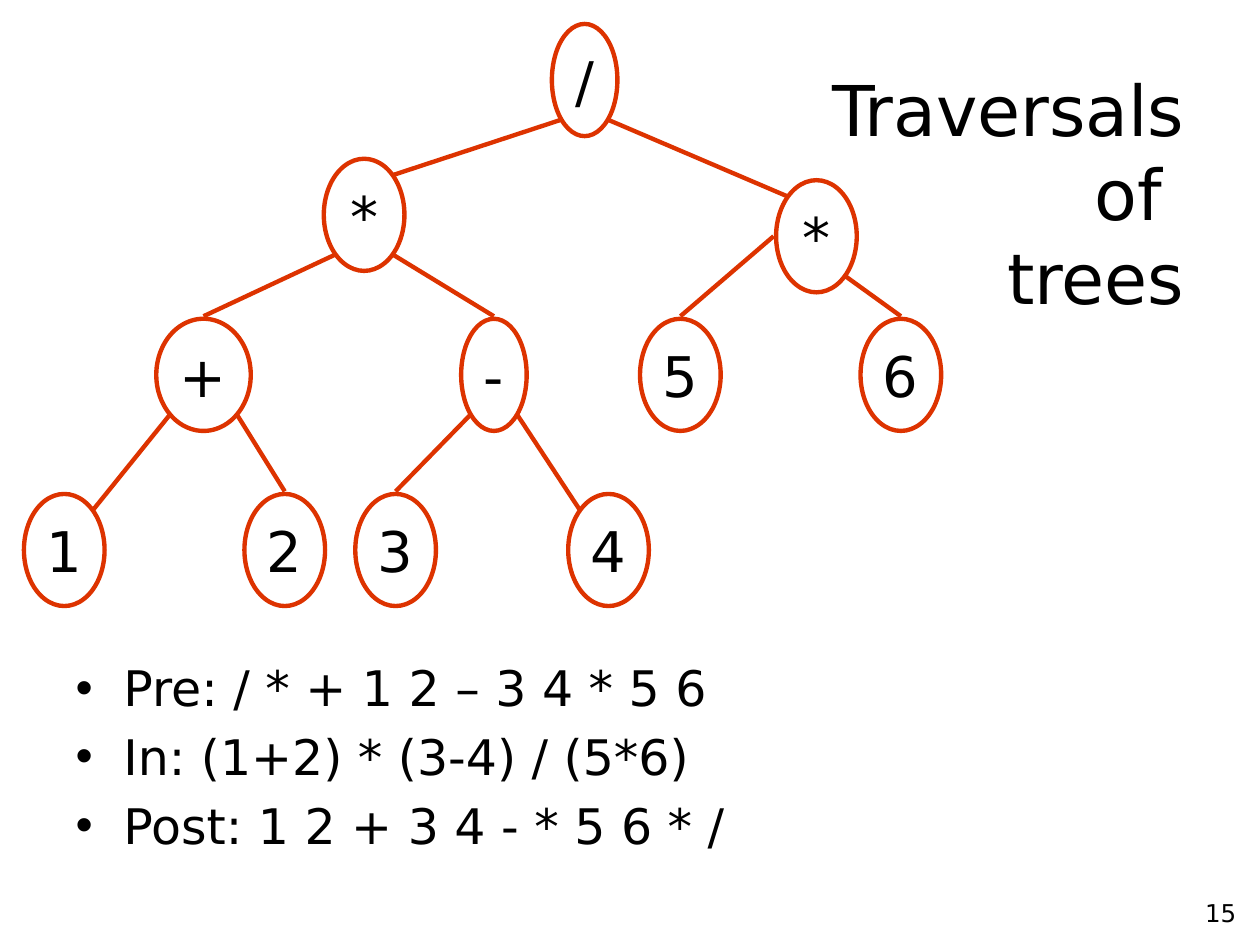
from pptx import Presentation
from pptx.dml.color import RGBColor
from pptx.enum.shapes import MSO_CONNECTOR as CXN, MSO_SHAPE as SHAPE
from pptx.enum.text import MSO_ANCHOR as ANCHOR, MSO_AUTO_SIZE as FIT, PP_ALIGN as ALIGN
from pptx.oxml.ns import qn
from pptx.util import Inches, Pt

RED = RGBColor(0xDD, 0x33, 0x00)
BLACK = RGBColor(0, 0, 0)
FONT = "DejaVu Sans"
NODE_H, LINE_W, GAP = 0.89, 2.5, 0.02

TITLE = "Traversals\vof \vtrees"
ORDERS = [
    "Pre: / * + 1 2 – 3 4 * 5 6",
    "In: (1+2) * (3-4) / (5*6)",
    "Post: 1 2 + 3 4 - * 5 6 * /",
]
NODES = {
    "root": ("/", 4.38, 0.19, 0.52),
    "left": ("*", 2.57, 1.26, 0.64),
    "right": ("*", 6.16, 1.43, 0.64),
    "plus": ("+", 1.24, 2.53, 0.75),
    "minus": ("-", 3.66, 2.53, 0.52),
    "five": ("5", 5.08, 2.53, 0.64),
    "six": ("6", 6.83, 2.53, 0.64),
    "one": ("1", 0.19, 3.92, 0.64),
    "two": ("2", 1.94, 3.92, 0.64),
    "three": ("3", 2.82, 3.92, 0.64),
    "four": ("4", 4.51, 3.92, 0.64),
}
EDGES = [
    ("root", "SW", "left", "NE"), ("root", "SE", "right", "NW"),
    ("left", "SW", "plus", "N"), ("left", "SE", "minus", "N"),
    ("right", "W", "five", "N"), ("right", "SE", "six", "N"),
    ("plus", "SW", "one", "NE"), ("plus", "SE", "two", "N"),
    ("minus", "SW", "three", "N"), ("minus", "SE", "four", "NW"),
]
DIAG = 0.5 ** 0.5
SITES = {"N": (0, -1), "W": (-1, 0), "NE": (DIAG, -DIAG), "NW": (-DIAG, -DIAG),
         "SE": (DIAG, DIAG), "SW": (-DIAG, DIAG)}


def place(sp, *box):
    for name, value in zip(("left", "top", "width", "height"), box):
        setattr(sp, name, Inches(value))


def write(tf, lines, size, align, **frame):
    for name, value in frame.items():
        setattr(tf, name, value)
    for i, line in enumerate(lines):
        p = tf.add_paragraph() if i else tf.paragraphs[0]
        p.text, p.alignment = line, align
        for r in p.runs:
            for name, value in {"name": FONT, "size": Pt(size)}.items():
                setattr(r.font, name, value)
            r.font.color.rgb = BLACK


def outline(sp):
    sp.line.color.rgb, sp.line.width = RED, Pt(LINE_W)


def site(node, side):
    _, x, y, w = NODES[node]
    dx, dy = SITES[side]
    gap = GAP if len(side) == 1 else 0
    return (Inches(x + w / 2 + dx * (w / 2 + gap)),
            Inches(y + NODE_H / 2 + dy * (NODE_H / 2 + gap)))


prs = Presentation()
prs.slide_width, prs.slide_height = Inches(10), Inches(7.5)
s = prs.slides.add_slide(prs.slide_layouts[1])

title, body = s.placeholders
place(title, 0.5, 0.3, 9, 2.45)
write(title.text_frame, [TITLE], 40, ALIGN.RIGHT,
      vertical_anchor=ANCHOR.MIDDLE, auto_size=FIT.NONE)
place(body, 0.5, 5.17, 9, 2)
write(body.text_frame, ORDERS, 28, ALIGN.LEFT, auto_size=FIT.NONE)
for p in body.text_frame.paragraphs:
    pPr = p._p.get_or_add_pPr()
    pPr.set("marL", str(Inches(0.38)))
    pPr.set("indent", str(-Inches(0.38)))

number = s.shapes.add_textbox(0, 0, 0, 0)
place(number, 7.83, 7.08, 2.08, 0.37)
write(number.text_frame, ["15"], 14, ALIGN.RIGHT, word_wrap=True)

for parent, start, child, end in EDGES:
    edge = s.shapes.add_connector(CXN.STRAIGHT, *site(parent, start), *site(child, end))
    outline(edge)
    spPr = edge._element.spPr
    spPr.append(spPr.makeelement(qn("a:effectLst"), {}))

for label, x, y, w in NODES.values():
    node = s.shapes.add_shape(SHAPE.OVAL, *map(Inches, (x, y, w, NODE_H)))
    node.shadow.inherit = False
    node.fill.background()
    outline(node)
    write(node.text_frame, [label], 32, ALIGN.CENTER,
          vertical_anchor=ANCHOR.MIDDLE, word_wrap=False)

prs.save("out.pptx")
